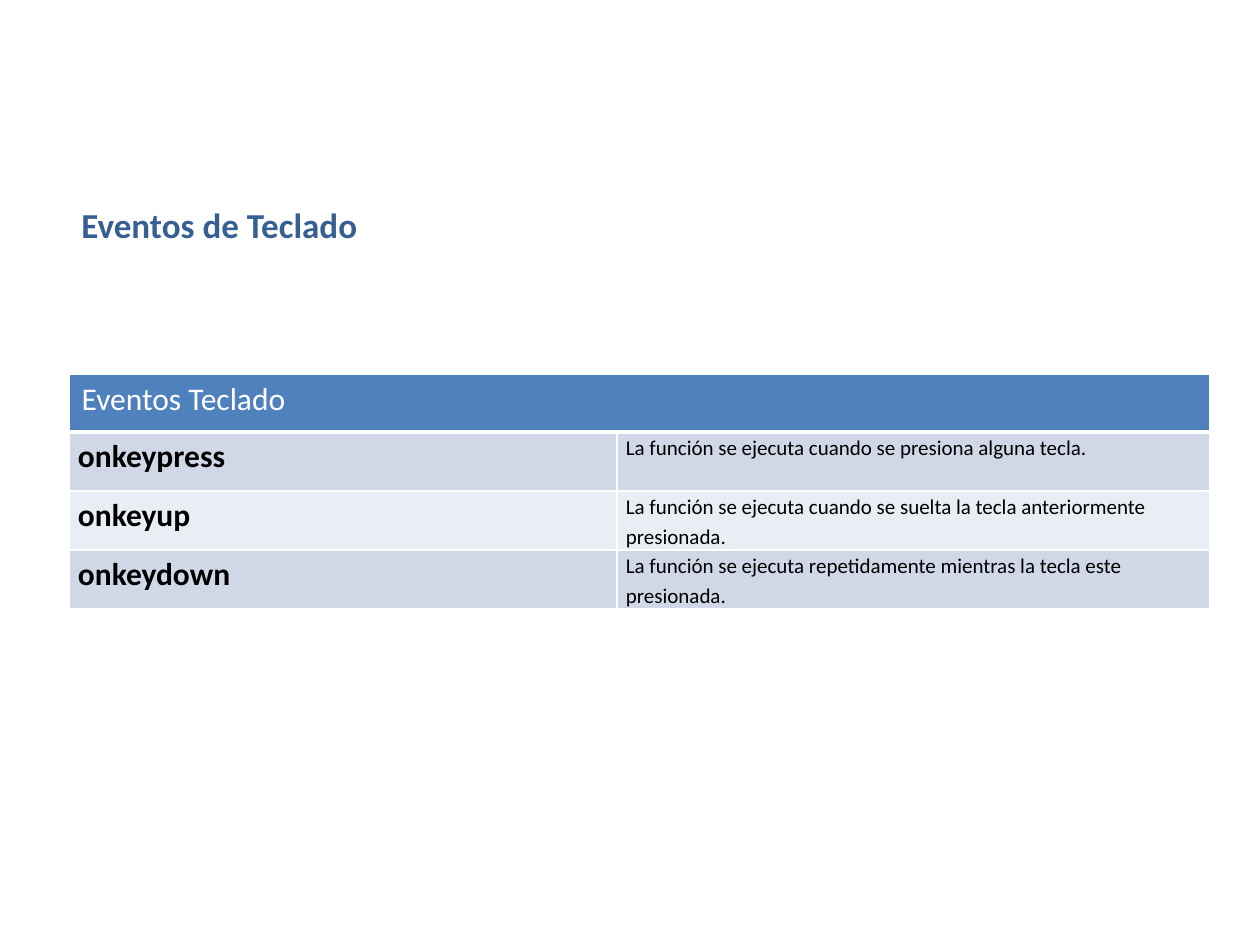
from lxml.etree import SubElement
from pptx import Presentation
from pptx.dml.color import RGBColor
from pptx.enum.text import MSO_AUTO_SIZE as AutoSize
from pptx.oxml.ns import qn
from pptx.util import Emu, Pt

PX_PER_INCH = 126
EVENTS = [
    ("onkeypress", "La función se ejecuta cuando se presiona alguna tecla."),
    ("onkeyup", "La función se ejecuta cuando se suelta la tecla anteriormente presionada."),
    ("onkeydown", "La función se ejecuta repetidamente mientras la tecla este presionada."),
]


def px(length):
    return Emu(round(length * 914400 / PX_PER_INCH))


def color(value):
    return RGBColor.from_string(value)


class SlideBuilder:
    font = "Calibri"
    title_color = "376092"
    header_fill = "4F81BD"
    band_fills = ("D0D8E8", "E9EDF4")
    border_color = "FFFFFF"

    def __init__(self, slide):
        self.slide = slide

    def set_text(self, frame, text, size, text_color, bold=False, spacing=None):
        paragraph = frame.paragraphs[0]
        paragraph.text = text
        paragraph.line_spacing = spacing
        font = paragraph.font
        font.name, font.size, font.bold = self.font, Pt(size), bold
        font.color.rgb = color(text_color)

    def title(self, text, left, top, width, height):
        box = self.slide.shapes.add_textbox(px(left), px(top), px(width), px(height))
        frame = box.text_frame
        frame.word_wrap = False
        frame.auto_size = AutoSize.SHAPE_TO_FIT_TEXT
        self.set_text(frame, text, 20, self.title_color, bold=True)

    def style_cell(self, cell, fill, bottom=1):
        properties = cell._tc.get_or_add_tcPr()
        for side, width in (("L", 1), ("R", 1), ("T", 1), ("B", bottom)):
            line = SubElement(properties, qn(f"a:ln{side}"), w=str(Pt(width)))
            line_fill = SubElement(line, qn("a:solidFill"))
            SubElement(line_fill, qn("a:srgbClr"), val=self.border_color)
        cell.fill.solid()
        cell.fill.fore_color.rgb = color(fill)

    def body_cell(self, cell, text, size, bold, fill):
        cell.margin_left = cell.margin_right = px(9)
        cell.margin_top = cell.margin_bottom = 0
        self.style_cell(cell, fill)
        self.set_text(cell.text_frame, text, size, "000000", bold, 1.15)

    def event_table(self, heading, events, left, top, columns, rows):
        table = self.slide.shapes.add_table(
            len(rows), len(columns), px(left), px(top), px(sum(columns)), px(sum(rows))
        ).table
        table.first_row = table.horz_banding = False
        for column, width in zip(table.columns, columns):
            column.width = px(width)
        for row, height in zip(table.rows, rows):
            row.height = px(height)
        for cell in table.rows[0].cells:
            self.style_cell(cell, self.header_fill, bottom=3)
        header = table.cell(0, 0)
        header.merge(table.cell(0, len(columns) - 1))
        self.set_text(header.text_frame, heading, 18, "FFFFFF")
        for index, (name, description) in enumerate(events):
            fill = self.band_fills[index % 2]
            self.body_cell(table.cell(index + 1, 0), name, 18, True, fill)
            self.body_cell(table.cell(index + 1, 1), description, 12, False, fill)


def main():
    presentation = Presentation()
    presentation.slide_width, presentation.slide_height = px(1260), px(945)
    slide = presentation.slides.add_slide(presentation.slide_layouts[6])
    builder = SlideBuilder(slide)
    builder.title("Eventos de Teclado", 69, 197, 304, 55)
    builder.event_table("Eventos Teclado", EVENTS, 69, 374, [548, 593], [58, 59, 59, 59])
    presentation.save("out.pptx")


if __name__ == "__main__":
    main()
